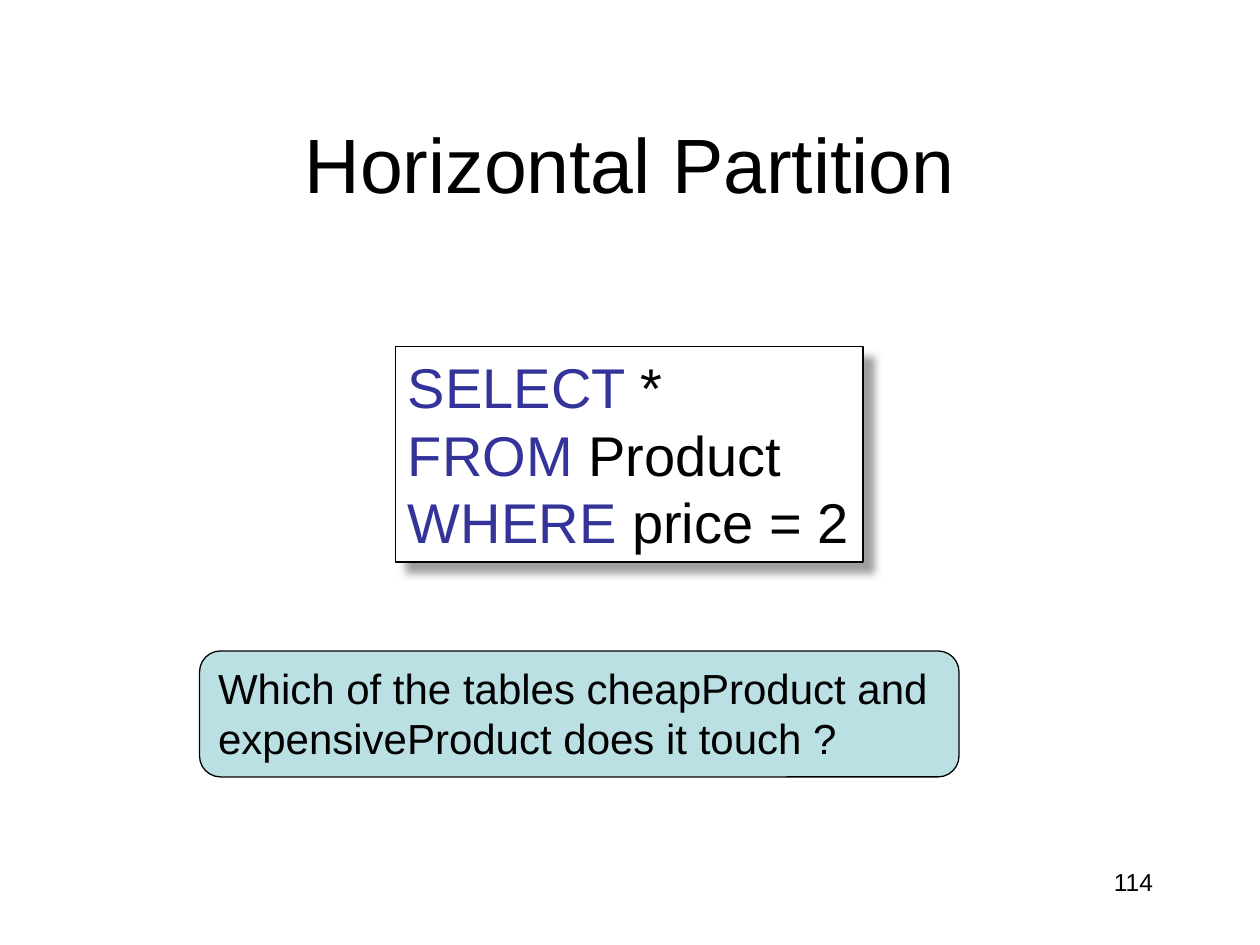
import pptx
import pptx.dml.color
import pptx.enum.shapes
import pptx.enum.text
import pptx.oxml
import pptx.oxml.ns
import pptx.util

Pt = pptx.util.Pt
Align = pptx.enum.text.PP_ALIGN
Anchor = pptx.enum.text.MSO_ANCHOR
Shape = pptx.enum.shapes.MSO_SHAPE
BLACK = "000000"
BLUE = "333399"


def color(code):
    return pptx.dml.color.RGBColor.from_string(code)


def write(shape, lines, size, align, anchor, wrap=True, pitch=None):
    frame = shape.text_frame
    frame.word_wrap = wrap
    frame.vertical_anchor = anchor
    para = frame.paragraphs[0]
    para.alignment = align
    if pitch:
        para.line_spacing = Pt(pitch)
    for row, line in enumerate(lines):
        if row:
            para.add_line_break()
        for text, code in line:
            run = para.add_run()
            run.text = text
            run.font.name = "Arial"
            run.font.size = Pt(size)
            run.font.color.rgb = color(code)


def add_title(slide, text):
    title = slide.shapes.title
    title.left, title.top = Pt(54), Pt(48)
    title.width, title.height = Pt(612), Pt(90)
    write(title, [[(text, BLACK)]], 44, Align.CENTER, Anchor.MIDDLE)


def add_panel(slide, kind, area, fill, width, lines, size, pitch):
    panel = slide.shapes.add_shape(kind, *map(Pt, area))
    panel.shadow.inherit = False
    panel.fill.solid()
    panel.fill.fore_color.rgb = color(fill)
    panel.line.color.rgb = color(BLACK)
    panel.line.width = Pt(width)
    write(panel, lines, size, Align.LEFT, Anchor.TOP, False, pitch)
    panel.text_frame.auto_size = pptx.enum.text.MSO_AUTO_SIZE.SHAPE_TO_FIT_TEXT
    return panel


def add_shadow(shape):
    space = pptx.oxml.ns.nsdecls("a")
    effect = pptx.oxml.parse_xml(
        f'<a:outerShdw {space} blurRad="{Pt(5)}" dist="{Pt(8.5)}" '
        'dir="2700000" algn="tl" rotWithShape="0"><a:srgbClr val="808080">'
        '<a:alpha val="75000"/></a:srgbClr></a:outerShdw>'
    )
    shape.element.spPr.find(pptx.oxml.ns.qn("a:effectLst")).append(effect)


def add_number(slide, text):
    box = slide.shapes.add_textbox(Pt(516), Pt(492), Pt(150), Pt(36))
    write(box, [[(text, BLACK)]], 14, Align.RIGHT, Anchor.TOP)


def main():
    deck = pptx.Presentation()
    deck.slide_width, deck.slide_height = Pt(720), Pt(540)
    slide = deck.slides.add_slide(deck.slide_layouts[5])
    add_title(slide, "Horizontal Partition")
    add_number(slide, "114")
    query = [
        [("SELECT ", BLUE), ("*", BLACK)],
        [("FROM ", BLUE), ("Product", BLACK)],
        [("WHERE ", BLUE), ("price = 2", BLACK)],
    ]
    code = add_panel(slide, Shape.RECTANGLE, (226, 198, 267, 123),
                     "FFFFFF", 1, query, 32, 38.5)
    add_shadow(code)
    ask = [
        [("Which of the tables cheapProduct and ", BLACK)],
        [("expensiveProduct does it touch ?", BLACK)],
    ]
    add_panel(slide, Shape.ROUNDED_RECTANGLE, (114, 372, 434, 72),
              "BBE0E3", 0.75, ask, 24, 28.5)
    deck.save("out.pptx")


if __name__ == "__main__":
    main()
